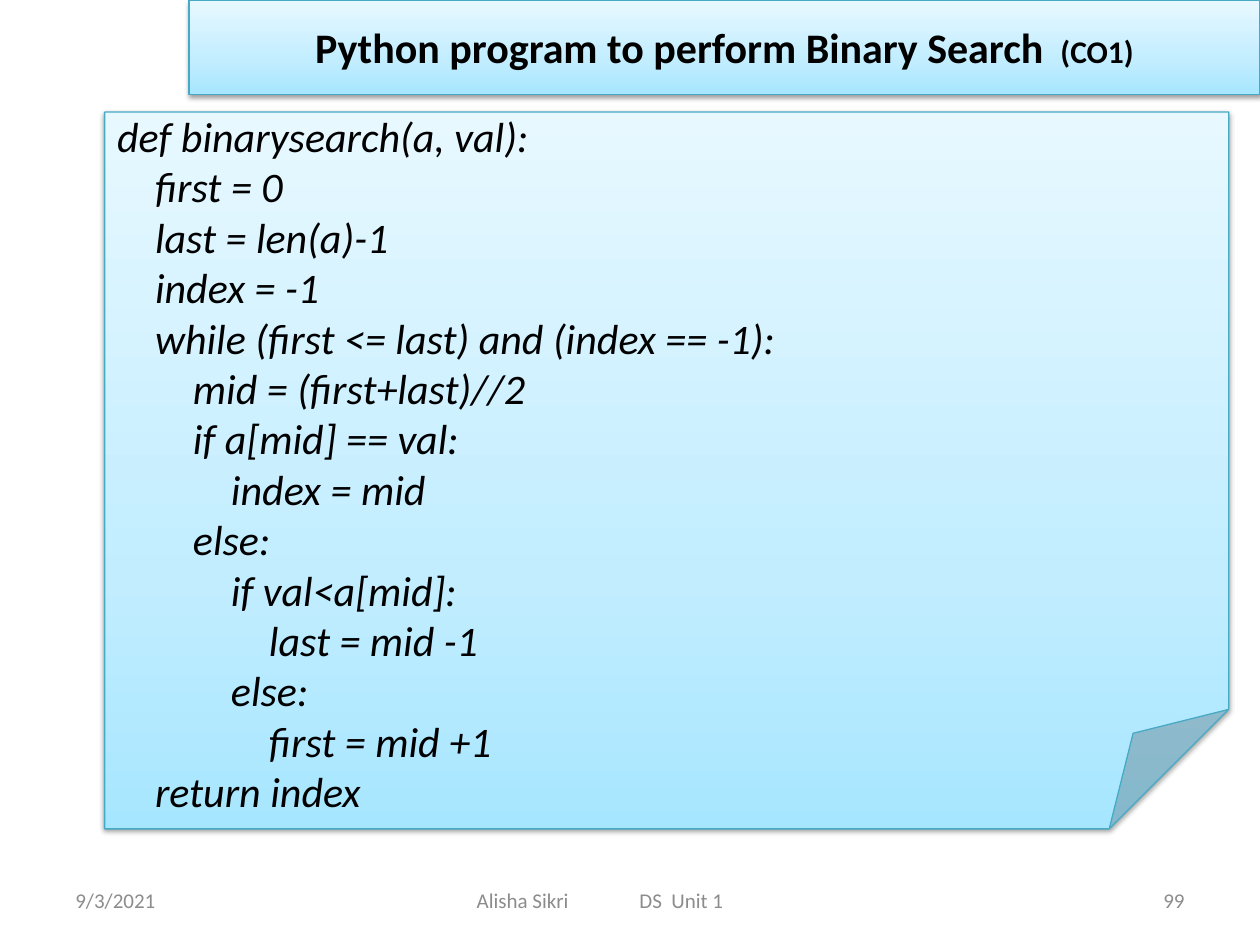
from pptx import Presentation
from pptx.dml.color import RGBColor
from pptx.enum.shapes import MSO_SHAPE as Shape
from pptx.enum.text import MSO_ANCHOR as Anchor, PP_ALIGN as Align
from pptx.oxml import parse_xml
from pptx.oxml.ns import nsdecls, qn
from pptx.util import Cm, Pt

CODE = """def binarysearch(a, val):
    first = 0
    last = len(a)-1
    index = -1
    while (first <= last) and (index == -1):
        mid = (first+last)//2
        if a[mid] == val:
            index = mid
        else:
            if val<a[mid]:
                last = mid -1
            else:
                first = mid +1
    return index"""


def rgb(value):
    return RGBColor.from_string(value)


class SlideBuilder:
    FONT = "Calibri"
    INK, GREY, BORDER = "000000", "8C8C8C", "46AAC5"
    GRADIENT = ((0, "A7E6FF"), (35, "C1EDFF"), (100, "E7F8FF"))

    def __init__(self, slide):
        self.slide = slide

    def style(self, font, size, color, bold=False, italic=False):
        font.name, font.size = self.FONT, Pt(size)
        font.bold, font.italic = bold, italic
        font.color.rgb = rgb(color)

    def panel_look(self, shape):
        """Blue gradient, thin border and soft shadow below."""
        shape.line.color.rgb = rgb(self.BORDER)
        shape.line.width = Pt(0.75)
        shape.shadow.inherit = False
        stops = "".join(
            f'<a:gs pos="{pos * 1000}"><a:srgbClr val="{color}"/></a:gs>'
            for pos, color in self.GRADIENT)
        properties = shape._element.spPr
        properties.find(qn("a:ln")).addprevious(parse_xml(
            f'<a:gradFill {nsdecls("a")} rotWithShape="1"><a:gsLst>{stops}</a:gsLst>'
            '<a:lin ang="16200000" scaled="1"/></a:gradFill>'))
        properties.find(qn("a:effectLst")).append(parse_xml(
            f'<a:outerShdw {nsdecls("a")} blurRad="{Pt(3.1)}" dist="{Pt(1.6)}" '
            'dir="5400000" rotWithShape="0"><a:srgbClr val="000000">'
            '<a:alpha val="38000"/></a:srgbClr></a:outerShdw>'))

    def title(self, left, top, width, height, parts):
        heading = self.slide.shapes.title
        heading.left, heading.top = Cm(left), Cm(top)
        heading.width, heading.height = Cm(width), Cm(height)
        self.panel_look(heading)
        heading.text_frame.vertical_anchor = Anchor.MIDDLE
        line = heading.text_frame.paragraphs[0]
        line.alignment = Align.CENTER
        for text, size in parts:
            run = line.add_run()
            run.text = text
            self.style(run.font, size, self.INK, bold=True)

    def note(self, left, top, width, height):
        sheet = self.slide.shapes.add_shape(
            Shape.FOLDED_CORNER, Cm(left), Cm(top), Cm(width), Cm(height))
        self.panel_look(sheet)

    def text(self, left, top, width, height):
        frame = self.slide.shapes.add_textbox(
            Cm(left), Cm(top), Cm(width), Cm(height)).text_frame
        frame.word_wrap = True
        return frame

    def code(self, left, top, width, height, source):
        frame = self.text(left, top, width, height)
        frame.margin_top = frame.margin_bottom = 0
        frame.text = source
        for line in frame.paragraphs:
            line.line_spacing = Pt(28.8)
            for run in line.runs:
                self.style(run.font, 24, self.INK, italic=True)

    def footer(self, left, width, words, align=Align.LEFT, tab=None):
        frame = self.text(left, 17.65, width, 1.01)
        frame.vertical_anchor = Anchor.MIDDLE
        frame.text = words
        line = frame.paragraphs[0]
        line.alignment = align
        if tab:
            line._p.get_or_add_pPr().append(parse_xml(
                f'<a:tabLst {nsdecls("a")}><a:tab pos="{Cm(tab)}" algn="l"/></a:tabLst>'))
        for run in line.runs:
            self.style(run.font, 12, self.GREY)


def main():
    deck = Presentation()
    deck.slide_width, deck.slide_height = Cm(25.4), Cm(19.05)
    builder = SlideBuilder(deck.slides.add_slide(deck.slide_layouts[5]))

    # Heading bar
    builder.title(3.81, 0, 21.59, 1.9,
                  [("Python program to perform Binary Search ", 24), (" (CO1)", 18)])

    # Program on a folded sheet
    builder.note(2.11, 2.26, 22.66, 14.45)
    builder.code(2.11, 2.23, 22.66, 14.3, CODE)

    # Footer: date, author and course, page number
    builder.footer(1.27, 5.92, "9/3/2021")
    builder.footer(9.36, 8, "Alisha Sikri\tDS  Unit 1", tab=3.28)
    builder.footer(18.21, 5.92, "99", Align.RIGHT)

    deck.save("out.pptx")


if __name__ == "__main__":
    main()
